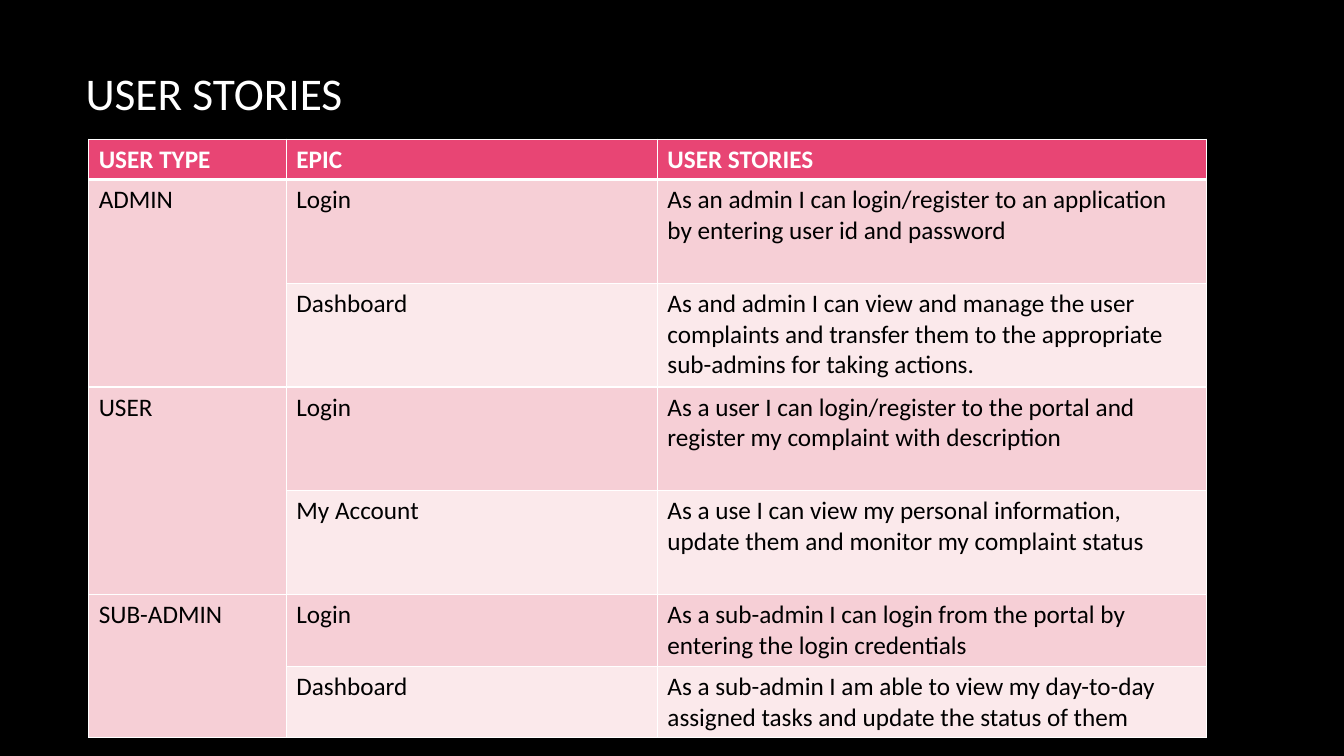
from lxml import etree
from pptx import Presentation, util as u
from pptx.dml.color import RGBColor
from pptx.enum import text
from pptx.oxml.ns import qn

COLORS = {
    "background": "000000",
    "white": "FFFFFF",
    "ink": "000000",
    "header": "E84574",
    "odd": "F6CFD6",
    "even": "FBE9EB",
}
HEADINGS = ["USER TYPE", "EPIC", "USER STORIES"]
STORIES = {
    "ADMIN": [
        ("Login", "As an admin I can login/register to an application by entering user id and password"),
        ("Dashboard", "As and admin I can view and manage the user complaints and transfer them "
                      "to the appropriate sub-admins for taking actions."),
    ],
    "USER": [
        ("Login", "As a user I can login/register to the portal and register my complaint with description"),
        ("My Account", "As a use I can view my personal information, update them and monitor my complaint status"),
    ],
    "SUB-ADMIN": [
        ("Login", "As a sub-admin I can login from the portal by entering the login credentials"),
        ("Dashboard", "As a sub-admin I am able to view my day-to-day assigned tasks and update the status of them"),
    ],
}
COLUMN_WIDTHS = [1.96, 3.68, 5.45]
ROW_HEIGHTS = [0.4] + [1.03] * 4 + [0.71] * 2


def color(name):
    return RGBColor.from_string(COLORS[name])


def write(frame, words, ink, size, bold=False):
    paragraph = frame.paragraphs[0]
    run = paragraph.add_run()
    run.text = words
    formats = {"name": "Calibri", "size": u.Pt(size), "bold": bold}
    for attribute, value in formats.items():
        setattr(run.font, attribute, value)
    run.font.color.rgb = color(ink)


def draw_borders(cell, widths):
    properties = cell._tc.get_or_add_tcPr()
    for side, width in widths.items():
        line = etree.SubElement(properties, qn(f"a:ln{side}"), w=str(u.Pt(width)))
        fill = etree.SubElement(line, qn("a:solidFill"))
        etree.SubElement(fill, qn("a:srgbClr"), val=COLORS["white"])


def fill_cell(cell, words, background, ink, widths, bold=False):
    draw_borders(cell, widths)
    cell.fill.solid()
    cell.fill.fore_color.rgb = color(background)
    if words:
        write(cell.text_frame, words, ink, 18, bold)


def add_title(slide, box):
    frame = slide.shapes.add_textbox(*map(u.Inches, box)).text_frame
    formats = {"word_wrap": True, "vertical_anchor": text.MSO_ANCHOR.MIDDLE}
    for attribute, value in formats.items():
        setattr(frame, attribute, value)
    write(frame, "USER STORIES", "white", 32.4)


def add_stories(slide, box):
    table = slide.shapes.add_table(
        len(ROW_HEIGHTS), len(COLUMN_WIDTHS), *map(u.Inches, box)).table
    for column, width in zip(table.columns, COLUMN_WIDTHS):
        column.width = u.Inches(width)
    for row, height in zip(table.rows, ROW_HEIGHTS):
        row.height = u.Inches(height)

    for column, heading in enumerate(HEADINGS):
        fill_cell(table.cell(0, column), heading, "header", "white",
                  {"L": 1, "R": 1, "T": 1, "B": 3}, True)

    row = 1
    for user_type, epics in STORIES.items():
        first = row
        for epic, story in epics:
            band = "odd" if row % 2 else "even"
            widths = {"L": 1, "R": 1, "T": 3 if row == 1 else 1, "B": 1}
            label = user_type if row == first else ""
            for column, words in enumerate((label, epic, story)):
                background = band if column else "odd"
                fill_cell(table.cell(row, column), words, background, "ink", widths)
            row += 1
        table.cell(first, 0).merge(table.cell(row - 1, 0))


def main():
    deck = Presentation()
    deck.slide_width, deck.slide_height = u.Inches(13.33), u.Inches(7.5)
    slide = deck.slides.add_slide(deck.slide_layouts[6])
    slide.background.fill.solid()
    slide.background.fill.fore_color.rgb = color("background")
    add_title(slide, (0.75, 0.67, 11.08, 0.49))
    add_stories(slide, (0.88, 1.38, sum(COLUMN_WIDTHS), sum(ROW_HEIGHTS)))
    deck.save("out.pptx")


if __name__ == "__main__":
    main()
